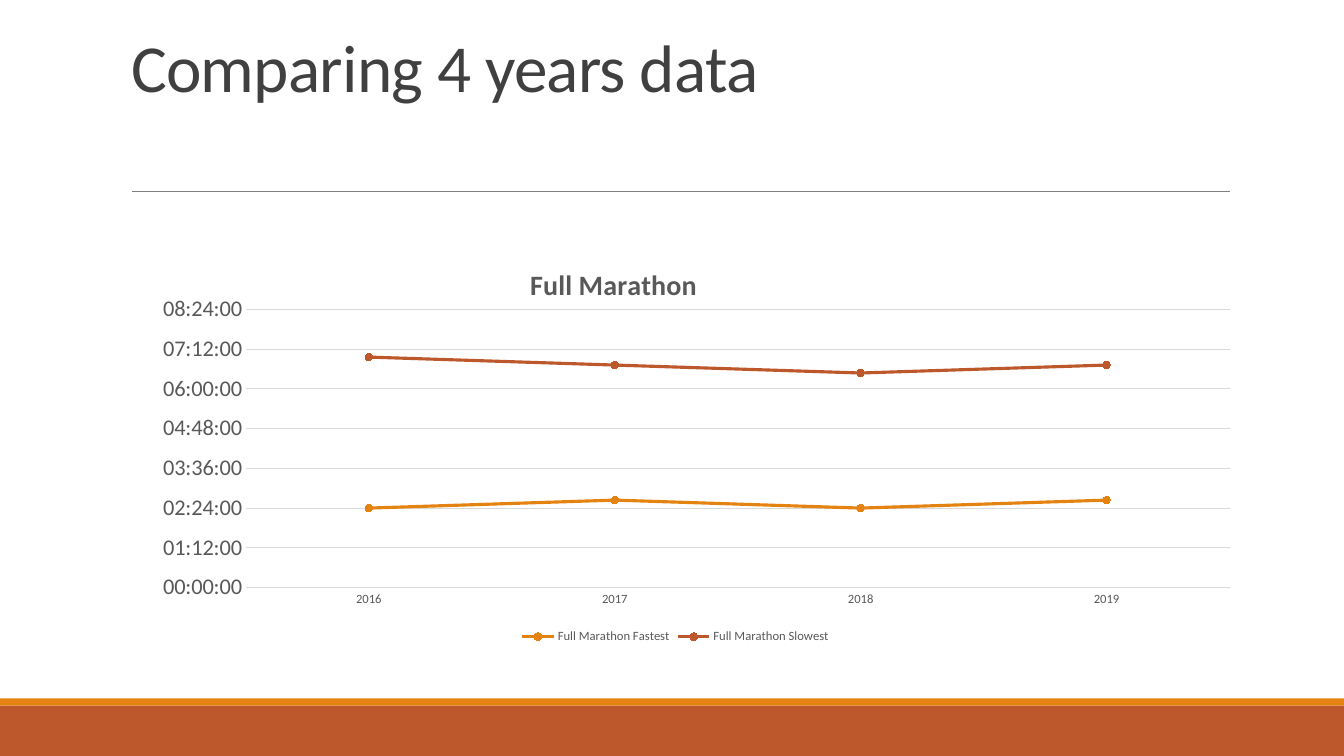
from lxml import etree
from pptx import Presentation
from pptx.chart.data import CategoryChartData
from pptx.dml.color import RGBColor
from pptx.enum.chart import (XL_CHART_TYPE, XL_LEGEND_POSITION,
                             XL_MARKER_STYLE, XL_TICK_MARK)
from pptx.enum.shapes import MSO_CONNECTOR, MSO_SHAPE
from pptx.enum.text import MSO_ANCHOR, PP_ALIGN
from pptx.oxml.ns import qn
from pptx.util import Inches, Pt

LINES = XL_CHART_TYPE.LINE_MARKERS
BOTTOM = XL_LEGEND_POSITION.BOTTOM
ROUND = XL_MARKER_STYLE.CIRCLE
NO_TICK = XL_TICK_MARK.NONE
RECT = MSO_SHAPE.RECTANGLE
STRAIGHT = MSO_CONNECTOR.STRAIGHT

# Content
TITLE = "Comparing 4 years data"
HEAD = "Full Marathon"
YEARS = ["2016", "2017", "2018", "2019"]
TIMES = {  # shares of a day
    "Full Marathon Fastest": (0.1, 0.11, 0.1, 0.11),
    "Full Marathon Slowest": (0.29, 0.28, 0.27, 0.28),
}
CLOCK = "hh:mm:ss"

# Theme
THEME = {
    "font": "Calibri", "title": "404040", "text": "595959",
    "grid": "D9D9D9", "rule": "808080", "series": ("E48312", "BD582C"),
    "title_pt": 48, "head_pt": 20, "value_pt": 16, "small_pt": 9,
}

# Layout, in inches
WIDE, HIGH = 13.33, 7.5
LEFT, SPAN = 1.2, 11
BAND, STRIP = 0.5, 0.07
TITLE_TOP, RULE_Y = 0.31, 1.9
CHART_TOP, CHART_HIGH = 2.29, 4.14
PLOT_X, PLOT_Y, PLOT_HIGH = 1.24, 0.78, 2.76
HEAD_X, HEAD_Y = 4.01, 0.29
# Shares of the chart
EDGES = {"xMode": "edge", "yMode": "edge"}
PLOT = {"layoutTarget": "inner", **EDGES,
        "x": PLOT_X / SPAN, "y": PLOT_Y / CHART_HIGH,
        "w": 1 - PLOT_X / SPAN, "h": PLOT_HIGH / CHART_HIGH}
HEAD_AT = {**EDGES, "x": HEAD_X / SPAN, "y": HEAD_Y / CHART_HIGH}


def color(name):
    return RGBColor.from_string(name)


def style(font, size, tint, bold=False):
    font.name, font.size, font.bold = THEME["font"], Pt(size), bold
    font.color.rgb = color(tint)


def stroke(line, tint, width):
    line.color.rgb, line.width = color(tint), Pt(width)


def fill(part, tint):
    part.fill.solid()
    part.fill.fore_color.rgb = color(tint)


def bar(slide, top, high, tint):
    shape = slide.shapes.add_shape(
        RECT, 0, Inches(top), Inches(WIDE), Inches(high))
    shape.shadow.inherit = False
    fill(shape, tint)
    shape.line.fill.background()


def place(node, index, spots):
    """Give a chart part a manual layout."""
    for old in node.findall(qn("c:layout")):
        node.remove(old)
    layout = etree.Element(qn("c:layout"))
    manual = etree.SubElement(layout, qn("c:manualLayout"))
    for key, val in spots.items():
        etree.SubElement(manual, qn("c:" + key)).set("val", str(val))
    node.insert(index, layout)


def add_frame(slide):
    # Footer bands and rule
    bar(slide, HIGH - BAND, BAND, THEME["series"][1])
    bar(slide, HIGH - BAND - STRIP, STRIP, THEME["series"][0])
    rule = slide.shapes.add_connector(
        STRAIGHT, Inches(LEFT + 0.11), Inches(RULE_Y),
        Inches(LEFT + SPAN), Inches(RULE_Y))
    stroke(rule.line, THEME["rule"], 0.5)
    etree.SubElement(rule._element.spPr, qn("a:effectLst"))


def add_title(slide):
    title = slide.shapes.title
    title.left, title.top = Inches(LEFT), Inches(TITLE_TOP)
    title.width, title.height = Inches(SPAN), Inches(RULE_Y - TITLE_TOP)
    frame = title.text_frame
    frame.text = TITLE
    frame.vertical_anchor = MSO_ANCHOR.TOP
    frame.margin_top = Inches(0.06)
    para = frame.paragraphs[0]
    para.alignment, para.line_spacing = PP_ALIGN.LEFT, 0.85
    font = para.runs[0].font
    style(font, THEME["title_pt"], THEME["title"])
    font._element.set("spc", "-50")


def add_times(slide):
    data = CategoryChartData(number_format=CLOCK)
    data.categories = YEARS
    for name, vals in TIMES.items():
        data.add_series(name, vals)
    chart = slide.shapes.add_chart(
        LINES, Inches(LEFT), Inches(CHART_TOP),
        Inches(SPAN), Inches(CHART_HIGH), data).chart
    text, small = THEME["text"], THEME["small_pt"]
    style(chart.font, small, text)

    # Heading and legend
    head = chart.chart_title
    head.text_frame.text = HEAD
    run = head.text_frame.paragraphs[0].runs[0]
    style(run.font, THEME["head_pt"], text, True)
    place(head._element, 1, HEAD_AT)
    chart.has_legend = True
    chart.legend.position = BOTTOM
    chart.legend.include_in_layout = False
    style(chart.legend.font, small, text)

    # Axes
    years, hours = chart.category_axis, chart.value_axis
    for axis, size in ((years, small), (hours, THEME["value_pt"])):
        axis.major_tick_mark = axis.minor_tick_mark = NO_TICK
        style(axis.tick_labels.font, size, text)
    stroke(years.format.line, THEME["grid"], 0.75)
    hours.format.line.fill.background()
    stroke(hours.major_gridlines.format.line, THEME["grid"], 0.75)
    hours.minimum_scale, hours.maximum_scale = 0, 0.35
    hours.major_unit = 0.05
    hours.tick_labels.number_format = CLOCK
    hours.tick_labels.number_format_is_linked = False

    # Series
    plot = chart.plots[0]
    plot.vary_by_categories = False
    for series, tint in zip(plot.series, THEME["series"]):
        series.smooth = False
        stroke(series.format.line, tint, 2.25)
        mark = series.marker
        mark.style, mark.size = ROUND, 5
        fill(mark.format, tint)
        stroke(mark.format.line, tint, 0.75)
    place(chart._chartSpace.chart.plotArea, 0, PLOT)


def main():
    deck = Presentation()
    deck.slide_width, deck.slide_height = Inches(WIDE), Inches(HIGH)
    slide = deck.slides.add_slide(deck.slide_layouts[5])
    add_frame(slide)
    add_title(slide)
    add_times(slide)
    deck.save("out.pptx")


if __name__ == "__main__":
    main()
